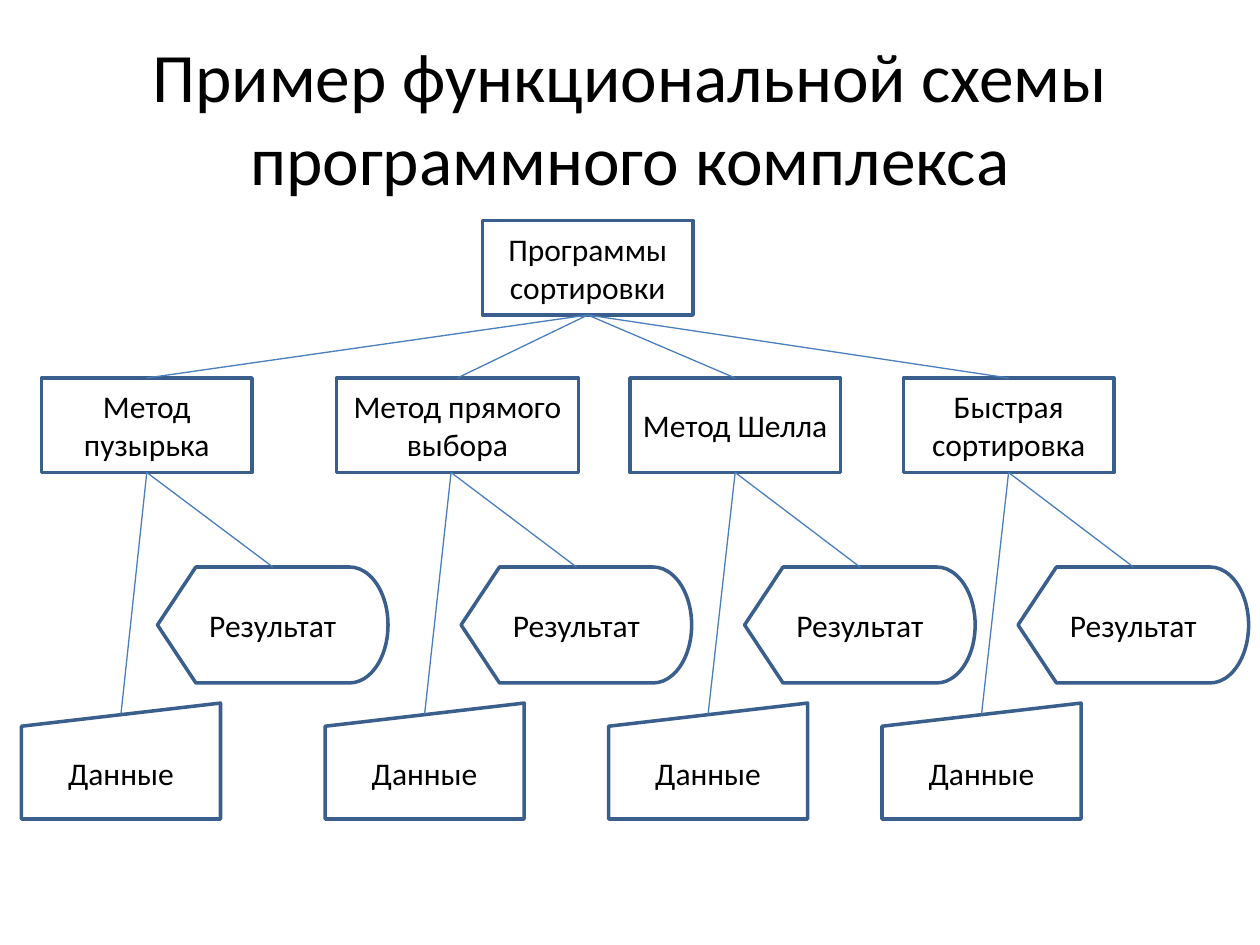
from lxml import etree
from pptx import Presentation
from pptx.dml.color import RGBColor
from pptx.enum.shapes import MSO_CONNECTOR, MSO_SHAPE
from pptx.enum.text import MSO_ANCHOR, PP_ALIGN
from pptx.oxml.ns import qn
from pptx.util import Inches, Pt

BOX = MSO_SHAPE.FLOWCHART_PROCESS
SHOW = MSO_SHAPE.FLOWCHART_DISPLAY
INPUT = MSO_SHAPE.FLOWCHART_MANUAL_INPUT
STRAIGHT = MSO_CONNECTOR.STRAIGHT
MIDDLE = MSO_ANCHOR.MIDDLE
CENTER = PP_ALIGN.CENTER
TOP, BOTTOM = 0, 2

WHITE = RGBColor(0xFF, 0xFF, 0xFF)
BLACK = RGBColor(0, 0, 0)
EDGE = RGBColor(0x3A, 0x5F, 0x8C)
LINK = RGBColor(0x4B, 0x7E, 0xBC)

TITLE = "Пример функциональной схемы программного комплекса"
ROOT = "Программы сортировки"
RESULT, DATA = "Результат", "Данные"
# name, left, width, x from which the branches hang
METHODS = [
    ("Метод пузырька", 0.33, 1.67, 1.17),
    ("Метод прямого выбора", 2.67, 1.92, 3.58),
    ("Метод Шелла", 5, 1.67, 5.83),
    ("Быстрая сортировка", 7.17, 1.67, 8),
]
BOX_H, NODE_H = 0.75, 0.92
ROOT_Y, BOX_Y, SHOW_Y, DATA_Y = 1.75, 3, 4.5, 5.58
SHOW_W, DATA_W = 1.83, 1.58
SLOPE = 0.09  # drop of the slanted top edge at its middle

prs = Presentation()
prs.slide_width, prs.slide_height = Inches(10), Inches(7.5)
slide = prs.slides.add_slide(prs.slide_layouts[6])


def write(shape, text, size=18, color=BLACK, font="Calibri"):
    frame = shape.text_frame
    frame.word_wrap = True
    frame.vertical_anchor = MIDDLE
    para = frame.paragraphs[0]
    para.alignment = CENTER
    run = para.add_run()
    run.text = text
    run.font.size = Pt(size)
    run.font.name = font
    run.font.color.rgb = color


def node(kind, text, x, y, w, h):
    shape = slide.shapes.add_shape(kind, Inches(x), Inches(y), Inches(w), Inches(h))
    shape.shadow.inherit = False
    shape.fill.solid()
    shape.fill.fore_color.rgb = WHITE
    shape.line.color.rgb = EDGE
    shape.line.width = Pt(2)
    write(shape, text)
    return shape


def link(x1, y1, x2, y2, start=None, end=None):
    """Draw a line, joined to the bottom of start and the top of end if given."""
    line = slide.shapes.add_connector(
        STRAIGHT, Inches(x1), Inches(y1), Inches(x2), Inches(y2))
    line.line.color.rgb = LINK
    line.line.width = Pt(0.75)
    etree.SubElement(line._element.spPr, qn("a:effectLst"))
    if start:
        line.begin_connect(start, BOTTOM)
    if end:
        line.end_connect(end, TOP)


title = slide.shapes.add_textbox(Inches(0.5), Inches(0.3), Inches(9), Inches(1.25))
write(title, TITLE, size=39.6)

root = node(BOX, ROOT, 3.83, ROOT_Y, 1.67, BOX_H)
for name, left, width, hub in METHODS:
    box = node(BOX, name, left, BOX_Y, width, BOX_H)
    mid = left + width / 2
    link(4.67, ROOT_Y + BOX_H, mid, BOX_Y, root, box)

    show = node(SHOW, RESULT, hub + 0.08, SHOW_Y, SHOW_W, NODE_H)
    node(INPUT, DATA, hub - 1, DATA_Y, DATA_W, NODE_H)
    foot = BOX_Y + BOX_H
    start = box if abs(mid - hub) < 0.02 else None
    link(hub, foot, hub - 1 + DATA_W / 2, DATA_Y + SLOPE, start)
    link(hub, foot, hub + 1, SHOW_Y, start, show)

prs.save("out.pptx")
